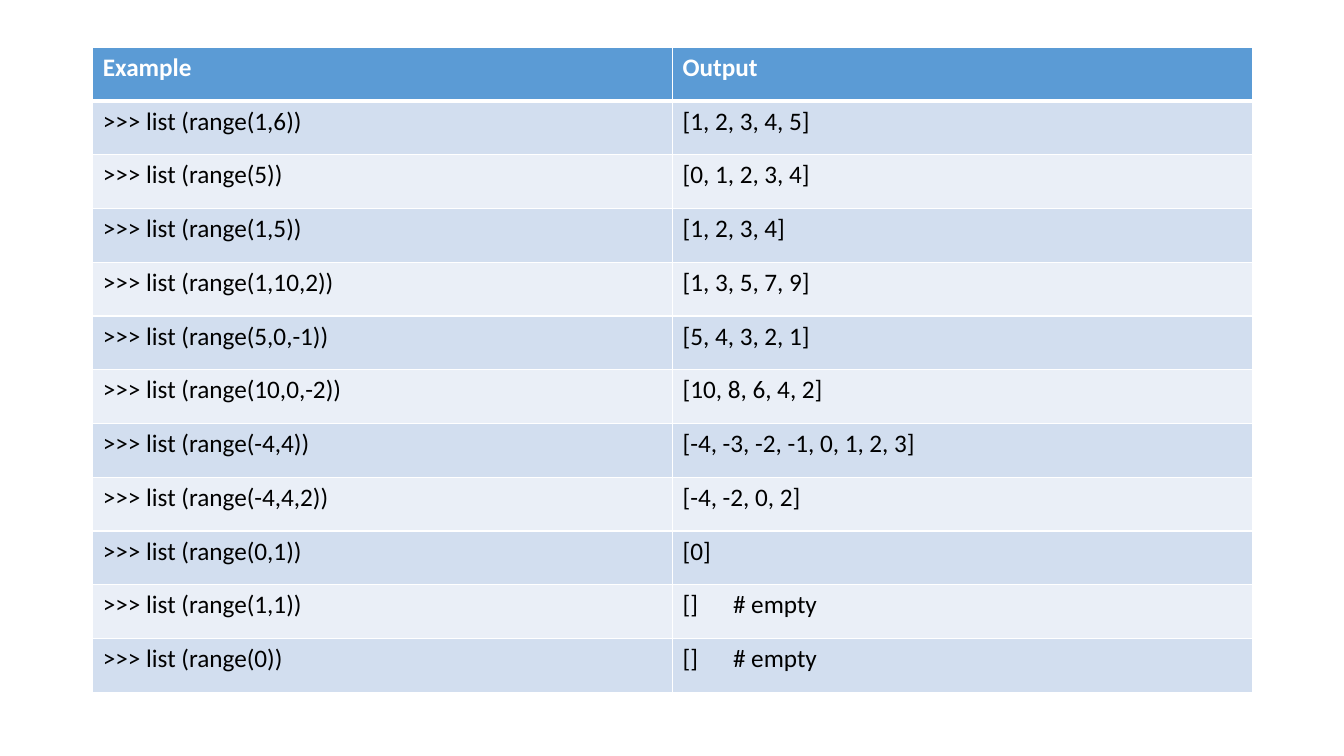
from lxml import etree
from pptx import Presentation
from pptx.dml.color import RGBColor
from pptx.oxml.ns import qn
from pptx.util import Inches, Pt

COLORS = {
    "header": "5B9BD5",
    "odd_row": "D2DEEF",
    "even_row": "EAEFF7",
    "border": "FFFFFF",
    "header_text": "FFFFFF",
    "text": "000000",
}

RANGE_EXAMPLES = [
    ("Example", "Output"),
    (">>> list (range(1,6))", "[1, 2, 3, 4, 5]"),
    (">>> list (range(5))", "[0, 1, 2, 3, 4]"),
    (">>> list (range(1,5))", "[1, 2, 3, 4]"),
    (">>> list (range(1,10,2))", "[1, 3, 5, 7, 9]"),
    (">>> list (range(5,0,-1))", "[5, 4, 3, 2, 1]"),
    (">>> list (range(10,0,-2))", "[10, 8, 6, 4, 2]"),
    (">>> list (range(-4,4))", "[-4, -3, -2, -1, 0, 1, 2, 3]"),
    (">>> list (range(-4,4,2))", "[-4, -2, 0, 2]"),
    (">>> list (range(0,1))", "[0]"),
    (">>> list (range(1,1))", "[]\t# empty"),
    (">>> list (range(0))", "[]\t# empty"),
]


class SlideBuilder:
    def __init__(self, slide):
        self.slide = slide
        self.font_name = "Calibri"
        self.font_size = Pt(18)
        self.border = Pt(1)
        self.header_border = Pt(3)
        self.comment_tab = Inches(0.5)

    def add_table(self, rows, left, top, width, height):
        """Add a banded table whose first row is the header."""
        frame = self.slide.shapes.add_table(
            len(rows), len(rows[0]), left, top, width, height)
        for row_index, row in enumerate(rows):
            for column_index, text in enumerate(row):
                cell = frame.table.cell(row_index, column_index)
                self.set_borders(cell, row_index)
                self.fill_cell(cell, row_index)
                self.write_cell(cell, text, row_index == 0)

    def set_borders(self, cell, row_index):
        widths = {
            "a:lnL": self.border,
            "a:lnR": self.border,
            "a:lnT": self.header_border if row_index == 1 else self.border,
            "a:lnB": self.header_border if row_index == 0 else self.border,
        }
        properties = cell._tc.get_or_add_tcPr()
        for tag, width in widths.items():
            line = etree.SubElement(properties, qn(tag), w=str(int(width)))
            fill = etree.SubElement(line, qn("a:solidFill"))
            etree.SubElement(fill, qn("a:srgbClr"), val=COLORS["border"])

    def fill_cell(self, cell, row_index):
        band = "odd_row" if row_index % 2 else "even_row"
        color = COLORS["header" if row_index == 0 else band]
        cell.fill.solid()
        cell.fill.fore_color.rgb = RGBColor.from_string(color)

    def write_cell(self, cell, text, is_header):
        paragraph = cell.text_frame.paragraphs[0]
        if "\t" in text:
            self.set_tab_stop(paragraph)
        run = paragraph.add_run()
        run.text = text
        run.font.name = self.font_name
        run.font.size = self.font_size
        run.font.bold = is_header
        color = COLORS["header_text" if is_header else "text"]
        run.font.color.rgb = RGBColor.from_string(color)

    def set_tab_stop(self, paragraph):
        properties = paragraph._p.get_or_add_pPr()
        tab_list = etree.SubElement(properties, qn("a:tabLst"))
        etree.SubElement(
            tab_list, qn("a:tab"), pos=str(int(self.comment_tab)), algn="l")


def main():
    presentation = Presentation()
    presentation.slide_width = Inches(13.33)
    presentation.slide_height = Inches(7.5)
    blank_layout = presentation.slide_layouts[6]
    builder = SlideBuilder(presentation.slides.add_slide(blank_layout))
    builder.add_table(
        RANGE_EXAMPLES, Inches(0.92), Inches(0.47), Inches(11.5), Inches(6.4))
    presentation.save("out.pptx")


if __name__ == "__main__":
    main()
